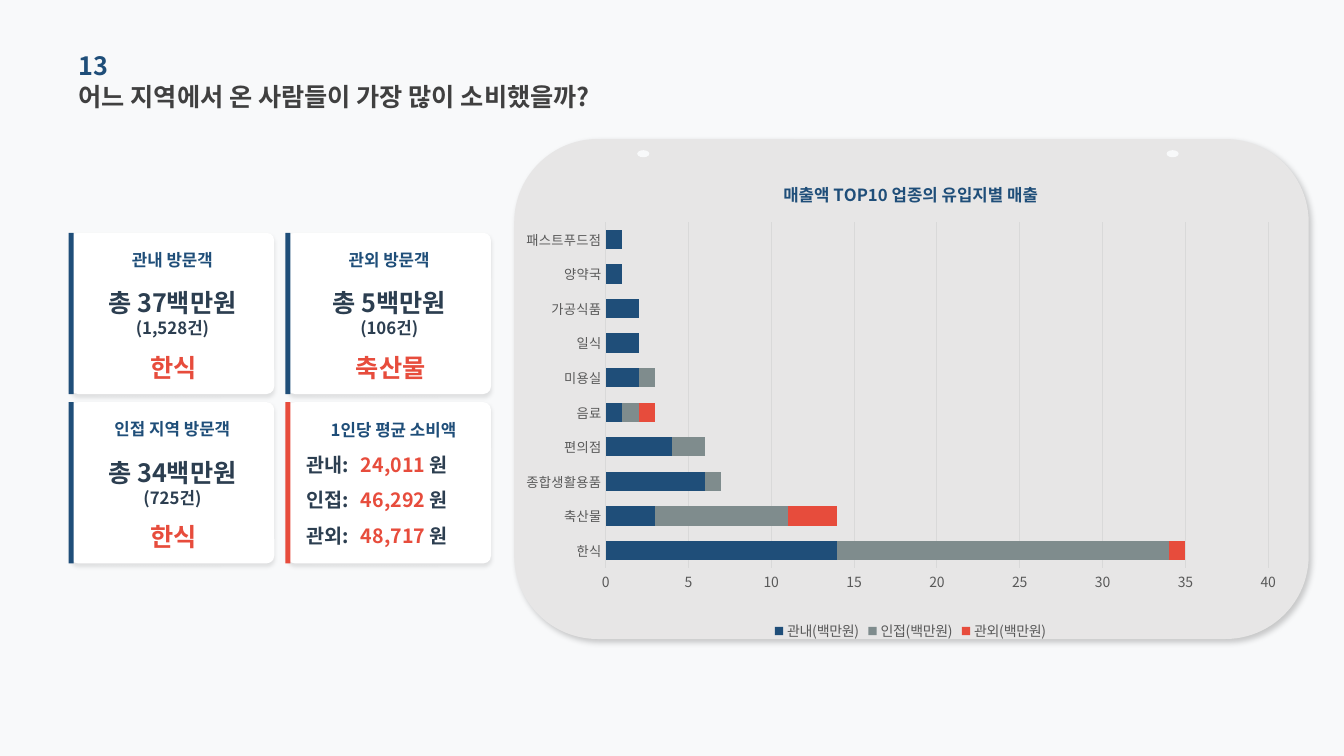
"""Build the slide on visitor spending by area of origin."""
from dataclasses import dataclass

from lxml import etree
from pptx import Presentation
from pptx.chart.data import CategoryChartData
from pptx.dml.color import RGBColor
from pptx.enum import chart as charts, shapes, text
from pptx.oxml import ns
from pptx.util import Inches, Pt


@dataclass(frozen=True)
class Theme:
    font: str = "Noto Sans CJK KR"
    chart_font: str = "Calibri"
    back: str = "F8F9FA"
    panel: str = "E7E6E6"
    card: str = "FFFFFF"
    title: str = "404040"
    navy: str = "1F4E79"
    ink: str = "2C3E50"
    red: str = "E74C3C"
    gray: str = "7F8C8D"
    axis: str = "595959"
    rule: str = "D9D9D9"
    large: float = 18
    medium: float = 14
    small: float = 12
    label: float = 10
    category: float = 9.5


THEME = Theme()
LEFT, CENTER = text.PP_ALIGN.LEFT, text.PP_ALIGN.CENTER
CARD_LEFT, CARD_TOP, CARD_STEP_X, CARD_STEP_Y = 0.7, 2.31, 2.15, 1.68
CARD_WIDTH, CARD_HEIGHT = 2.02, 1.6
VISITORS = [
    (0, 0, "관내 방문객", "총 37백만원", "(1,528건)", "한식"),
    (1, 0, "관외 방문객", "총 5백만원", "(106건)", "축산물"),
    (0, 1, "인접 지역 방문객", "총 34백만원", "(725건)", "한식"),
]
AVERAGES = [("관내:", "24,011 "), ("인접:", "46,292 "), ("관외:", "48,717 ")]
CATEGORIES = ["한식", "축산물", "종합생활용품", "편의점", "음료",
              "미용실", "일식", "가공식품", "양약국", "패스트푸드점"]
SALES = [
    ("관내(백만원)", [14, 3, 6, 4, 1, 2, 2, 2, 1, 1], THEME.navy),
    ("인접(백만원)", [20, 8, 1, 2, 1, 1, 0, 0, 0, 0], THEME.gray),
    ("관외(백만원)", [1, 3, 0, 0, 1, 0, 0, 0, 0, 0], THEME.red),
]


def color(value):
    return RGBColor.from_string(value)


def style_font(font, size, tint, bold=False):
    font.name, font.size, font.bold = THEME.font, Pt(size), bold
    font.color.rgb = color(tint)
    east_asian = etree.SubElement(font._element, ns.qn("a:ea"))
    east_asian.set("typeface", THEME.font)


def fill_text(box, content, styles, align=LEFT):
    frame = box.text_frame
    frame.word_wrap = True
    frame.auto_size = text.MSO_AUTO_SIZE.NONE
    frame.vertical_anchor = text.MSO_ANCHOR.MIDDLE
    frame.margin_left = frame.margin_right = frame.margin_top = frame.margin_bottom = 0
    para = frame.paragraphs[0]
    para.text, *rest = content
    for part in rest:
        para.add_run().text = part
    para.alignment = align
    for span, (size, tint) in zip(para.runs, styles):
        style_font(span.font, size, tint, True)


def add_label(page, area, content, styles, align=LEFT):
    box = page.shapes.add_textbox(*map(Inches, area))
    fill_text(box, content, styles, align)


def add_block(page, preset, area, tint, corner=None, shadow=None):
    block = page.shapes.add_shape(preset, *map(Inches, area))
    block.shadow.inherit = False
    block.fill.solid()
    block.fill.fore_color.rgb = color(tint)
    block.line.fill.background()
    if corner is not None:
        block.adjustments[0] = corner
    if shadow:
        alpha, blur, distance, angle = shadow
        effects = block._element.spPr.find(ns.qn("a:effectLst"))
        outer = etree.SubElement(
            effects, ns.qn("a:outerShdw"), blurRad=str(Pt(blur)), dist=str(Pt(distance)),
            dir=str(angle * 60000), algn="tl", rotWithShape="0")
        tint_node = etree.SubElement(outer, ns.qn("a:srgbClr"), val="000000")
        etree.SubElement(tint_node, ns.qn("a:alpha"), val=str(alpha * 1000))


def add_card(page, column, row, accent):
    left = CARD_LEFT + column * CARD_STEP_X
    top = CARD_TOP + row * CARD_STEP_Y
    preset = shapes.MSO_SHAPE
    add_block(page, preset.ROUNDED_RECTANGLE, (left, top, CARD_WIDTH, CARD_HEIGHT),
              THEME.card, 0.048, (10, 3, 2, 90))
    add_block(page, preset.RECTANGLE, (left - 0.02, top, 0.05, CARD_HEIGHT), accent)
    return left, top


def add_visitor_card(page, column, row, heading, amount, count, favorite):
    left, top = add_card(page, column, row, THEME.navy)
    add_label(page, (left + 0.36, top + 0.11, 1.3, 0.31), [heading],
              [(THEME.small, THEME.navy)], CENTER)
    add_label(page, (left, top + 0.56, CARD_WIDTH, 0.47), [f"{amount}\v{count}"],
              [(THEME.large, THEME.ink), (THEME.small, THEME.ink)], CENTER)
    add_label(page, (left + 0.03, top + 1.1, 1.99, 0.47), [favorite],
              [(THEME.large, THEME.red)], CENTER)


def add_average_card(page):
    left, top = add_card(page, 1, 1, THEME.red)
    add_label(page, (left + 0.43, top + 0.15, 1.4, 0.25), ["1인당 평균 소비액"],
              [(THEME.small, THEME.navy)])
    for index, (area, amount) in enumerate(AVERAGES):
        line_top = top + 0.47 + index * 0.35
        add_label(page, (left + 0.19, line_top, 0.59, 0.3), [area],
                  [(THEME.medium, THEME.ink)])
        add_label(page, (left + 0.73, line_top, 1.25, 0.3), [amount, "원"],
                  [(THEME.medium, THEME.red), (THEME.medium, THEME.ink)])


def place_part(part, index, **settings):
    for old in part.findall(ns.qn("c:layout")):
        part.remove(old)
    layout = etree.Element(ns.qn("c:layout"))
    manual = etree.SubElement(layout, ns.qn("c:manualLayout"))
    for name, value in settings.items():
        etree.SubElement(manual, ns.qn(f"c:{name}"), val=str(value))
    part.insert(index, layout)


def style_axes(chart):
    category, value = chart.category_axis, chart.value_axis
    for axis, size in ((category, THEME.category), (value, THEME.label)):
        axis.major_tick_mark = axis.minor_tick_mark = charts.XL_TICK_MARK.NONE
        style_font(axis.tick_labels.font, size, THEME.axis)
    value.minimum_scale, value.maximum_scale, value.major_unit = 0, 40, 5
    value.format.line.fill.background()
    value.has_major_gridlines = True
    for line in (category.format.line, value.major_gridlines.format.line):
        line.color.rgb = color(THEME.rule)
        line.width = Pt(0.75)


def add_sales_chart(page):
    data = CategoryChartData()
    data.categories = CATEGORIES
    for name, values, _ in SALES:
        data.add_series(name, values)
    area = map(Inches, (5.22, 1.56, 7.61, 4.84))
    chart = page.shapes.add_chart(charts.XL_CHART_TYPE.BAR_STACKED, *area, data).chart
    chart.font.name, chart.font.size = THEME.chart_font, Pt(THEME.label)
    plot = chart.plots[0]
    plot.gap_width, plot.overlap, plot.vary_by_categories = 80, 100, False
    for series, (_, _, tint) in zip(plot.series, SALES):
        series.format.fill.solid()
        series.format.fill.fore_color.rgb = color(tint)
    style_axes(chart)
    chart.has_legend = True
    chart.legend.position = charts.XL_LEGEND_POSITION.BOTTOM
    chart.legend.include_in_layout = False
    style_font(chart.legend.font, THEME.label, THEME.axis)
    chart.has_title = True
    heading = chart.chart_title.text_frame.paragraphs[0]
    heading.text = "매출액 TOP10 업종의 유입지별 매출"
    style_font(heading.runs[0].font, THEME.small, THEME.navy, True)
    place_part(chart.chart_title._element, 1, xMode="edge", yMode="edge", x=0.33, y=0.04)
    place_part(chart._chartSpace.chart.plotArea, 0, layoutTarget="inner", xMode="edge",
               yMode="edge", x=0.102, y=0.133, w=0.865, h=0.709)


def add_heading(page):
    title = page.shapes.title
    title.left, title.top, title.width, title.height = map(Inches, (0.78, 0.75, 5.35, 0.41))
    fill_text(title, ["어느 지역에서 온 사람들이 가장 많이 소비했을까?"],
              [(THEME.large, THEME.title)])
    add_label(page, (0.78, 0.44, 4.52, 0.41), ["13"], [(THEME.large, THEME.navy)])


def main():
    deck = Presentation()
    deck.slide_width, deck.slide_height = Inches(13.33), Inches(7.5)
    page = deck.slides.add_slide(deck.slide_layouts.get_by_name("Title Only"))
    page.background.fill.solid()
    page.background.fill.fore_color.rgb = color(THEME.back)
    add_heading(page)
    add_block(page, shapes.MSO_SHAPE.ROUNDED_RECTANGLE, (5.1, 1.38, 7.88, 4.96),
              THEME.panel, shadow=(20, 4, 3, 45))
    for left in (6.32, 11.57):
        add_block(page, shapes.MSO_SHAPE.OVAL, (left, 1.49, 0.12, 0.07), THEME.back)
    for visitor in VISITORS:
        add_visitor_card(page, *visitor)
    add_average_card(page)
    add_sales_chart(page)
    deck.save("out.pptx")


if __name__ == "__main__":
    main()
